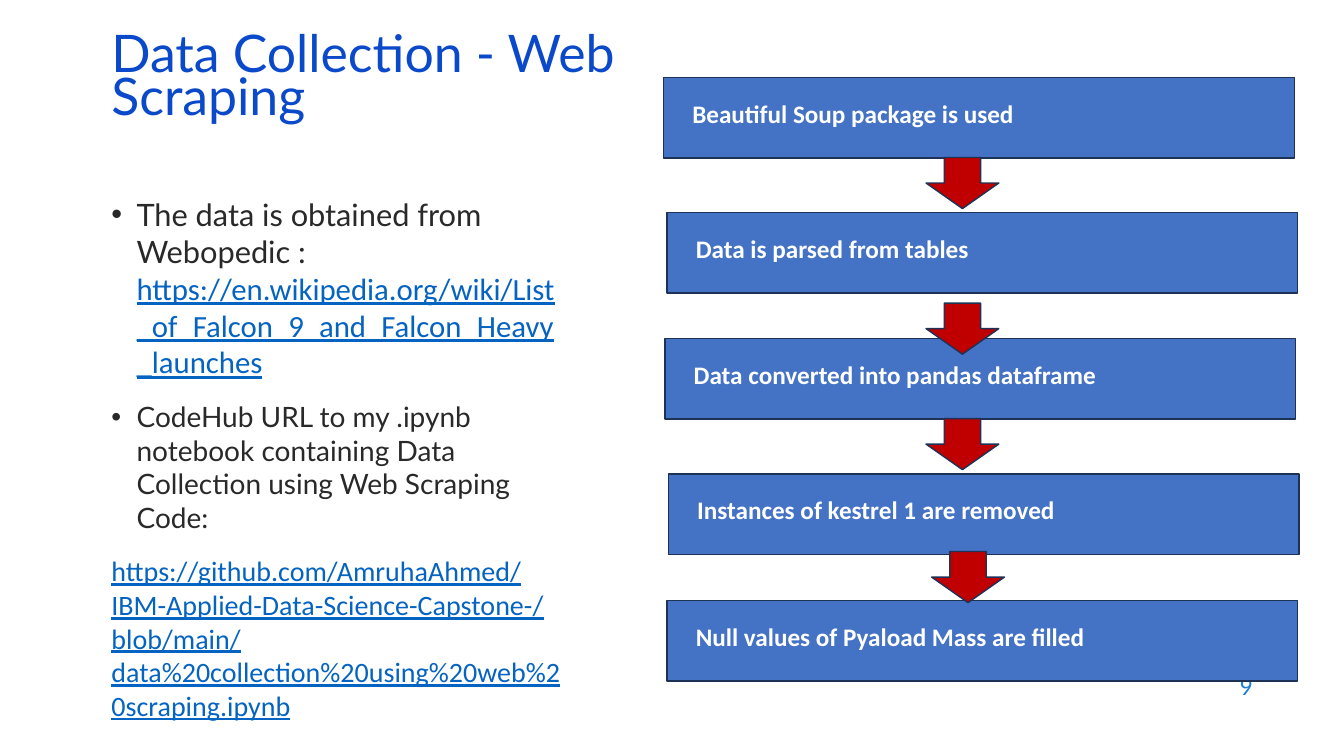
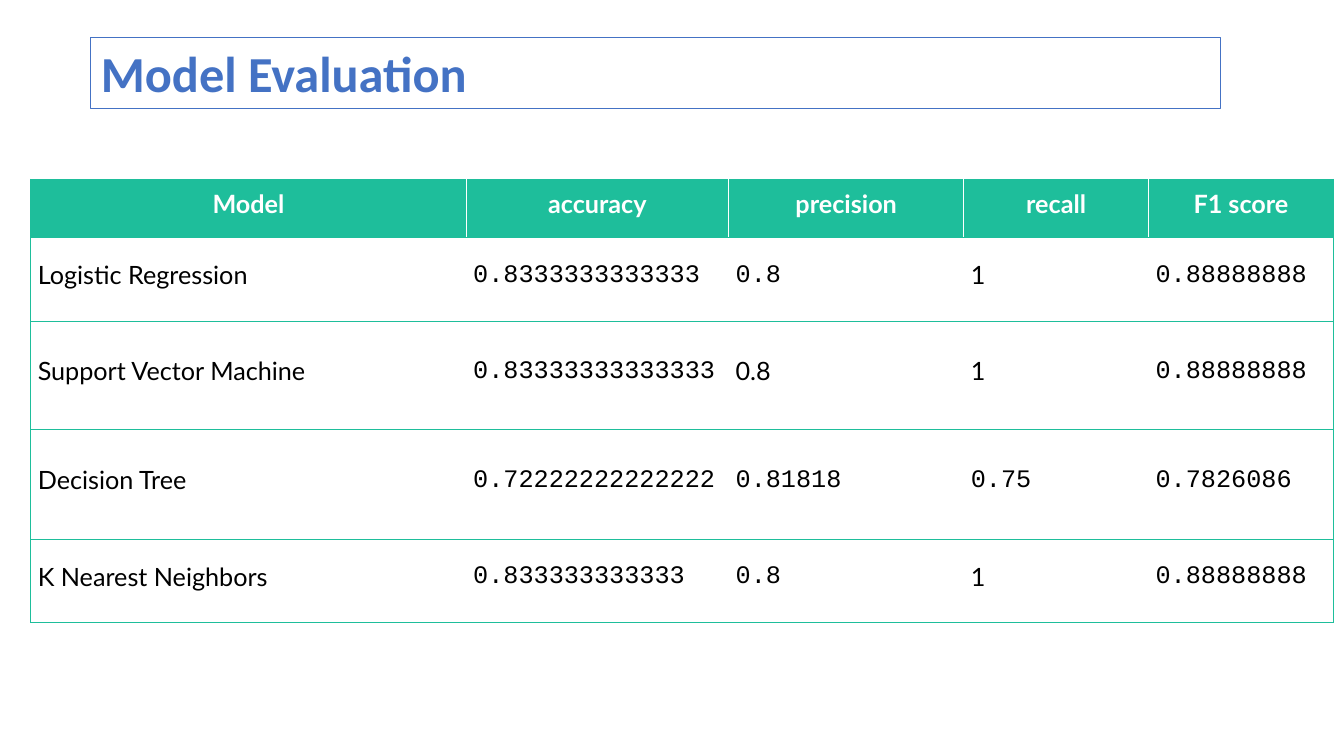
from dataclasses import dataclass

from lxml import etree
from pptx import Presentation
from pptx.dml.color import RGBColor
from pptx.enum.shapes import MSO_SHAPE
from pptx.enum.text import MSO_ANCHOR, PP_ALIGN
from pptx.oxml.ns import qn
from pptx.util import Pt

RECT, ARROW = MSO_SHAPE.RECTANGLE, MSO_SHAPE.DOWN_ARROW
TOP, MIDDLE = MSO_ANCHOR.TOP, MSO_ANCHOR.MIDDLE
LEFT, CENTER, RIGHT = PP_ALIGN.LEFT, PP_ALIGN.CENTER, PP_ALIGN.RIGHT


@dataclass(frozen=True)
class Theme:
    # Fonts
    sans: str = "Lato"
    plain: str = "Calibri"
    mono: str = "Courier New"
    # Colours
    white: str = "FFFFFF"
    black: str = "000000"
    ink: str = "292929"
    title: str = "0B49CB"
    link: str = "0563C1"
    number: str = "1C7DDB"
    bar: str = "4472C4"
    edge: str = "1E3256"
    arrow: str = "C00000"
    teal: str = "1EBE9B"
    # Type sizes
    huge: int = 37
    head: int = 36
    large: int = 22
    body: int = 20
    label: int = 18
    small: int = 16


T = Theme()

STEPS = [
    (474, 55.5, "Beautiful Soup package is used"),
    (476.5, 152, "Data is parsed from tables"),
    (475, 242, "Data converted into pandas dataframe"),
    (477.5, 338.5, "Instances of kestrel 1 are removed"),
    (476.5, 429, "Null values of Pyaload Mass are filled"),
]
ARROWS = [(661.5, 112.5), (661.5, 216.5), (661.5, 299), (665.5, 394)]

WIKI = ["https://en.wikipedia.org/wiki/List", "_of_Falcon_9_and_Falcon_Heavy",
        "_launches"]
REPO = ("https://github.com/AmruhaAhmed/IBM-Applied-Data-Science-Capstone-/"
        "blob/main/data%20collection%20using%20web%20scraping.ipynb")

COLS = [311, 187.5, 168, 132, 132]
ROWS = [41.5, 60, 77.5, 78, 60]
SCORES = [
    ["Model", "accuracy", "precision", "recall", "F1 score"],
    ["Logistic Regression", "0.8333333333333", "0.8", "1", "0.88888888"],
    ["Support Vector Machine", "0.83333333333333", "0.8", "1", "0.88888888"],
    ["Decision Tree", "0.72222222222222", "0.81818", "0.75", "0.7826086"],
    ["K Nearest Neighbors", "0.833333333333", "0.8", "1", "0.88888888"],
]


def put(obj, **vals):
    for name, val in vals.items():
        setattr(obj, name, val)


def rgb(code):
    return RGBColor.from_string(code)


def write(para, text, face, size, color, **style):
    run = para.add_run()
    run.text = text
    put(run.font, name=face, size=Pt(size), **style)
    run.font.color.rgb = rgb(color)


def text_box(slide, x, y, w, h, anchor=TOP):
    frame = slide.shapes.add_textbox(Pt(x), Pt(y), Pt(w), Pt(h)).text_frame
    put(frame, word_wrap=True, vertical_anchor=anchor)
    return frame


def shape(slide, kind, x, y, w, h, fill, line, width):
    item = slide.shapes.add_shape(kind, Pt(x), Pt(y), Pt(w), Pt(h))
    item.shadow.inherit = False
    if fill:
        item.fill.solid()
        item.fill.fore_color.rgb = rgb(fill)
    else:
        item.fill.background()
    item.line.color.rgb = rgb(line)
    item.line.width = Pt(width)
    put(item.text_frame, word_wrap=True, vertical_anchor=TOP)
    item.text_frame.paragraphs[0].alignment = LEFT
    return item.text_frame


def bullet(para):
    props = para._p.get_or_add_pPr()
    props.set("marL", str(Pt(18)))
    props.set("indent", str(-Pt(18)))
    etree.SubElement(props, qn("a:buFont")).set("typeface", "Arial")
    etree.SubElement(props, qn("a:buChar")).set("char", "•")


def border(cell, sides):
    props = cell._tc.get_or_add_tcPr()
    # Lines go before the fill
    for spot, (side, (color, width)) in enumerate(sides.items()):
        line = etree.Element(qn("a:ln" + side), w=str(Pt(width)))
        fill = etree.SubElement(line, qn("a:solidFill"))
        etree.SubElement(fill, qn("a:srgbClr")).set("val", color)
        props.insert(spot, line)


def notes(slide):
    frame = text_box(slide, 72.5, 136, 340.5, 350.5)
    first = frame.paragraphs[0]
    bullet(first)
    write(first, "The data is obtained from Webopedic : ", T.sans, T.large, T.ink)
    for part in WIKI:
        first.add_line_break()
        write(first, part, T.plain, T.large, T.link, underline=True)
    code = frame.add_paragraph()
    bullet(code)
    write(code, "CodeHub URL to my .ipynb notebook containing Data Collection "
          "using Web Scraping Code:", T.sans, T.body, T.ink)
    repo = frame.add_paragraph()
    write(repo, REPO, T.plain, T.body, T.link, underline=True)
    for para in (code, repo):
        para.space_before = Pt(14)


def flow(slide):
    for x, y, text in STEPS:
        frame = shape(slide, RECT, x, y, 450.5, 57.5, T.bar, T.edge, 1)
        put(frame, margin_left=Pt(20.5), margin_top=Pt(14.5))
        write(frame.paragraphs[0], text, T.plain, T.label, T.white, bold=True)
    for x, y in ARROWS:
        shape(slide, ARROW, x, y, 52, 36.5, T.arrow, T.edge, 1)


def fill_cell(cell, row, col):
    text, top = SCORES[row][col], row == 0
    put(cell, vertical_anchor=MIDDLE, margin_left=Pt(5), margin_right=Pt(5),
        margin_top=Pt(2.2), margin_bottom=Pt(2.2))
    if top:
        cell.fill.solid()
        cell.fill.fore_color.rgb = rgb(T.teal)
    else:
        cell.fill.background()
    para = cell.text_frame.paragraphs[0]
    put(para, alignment=CENTER if top else LEFT, line_spacing=Pt(15))
    sans = top or col == 0 or text == "1" or (row, col) == (2, 2)
    write(para, text, T.sans if sans else T.mono, T.label,
          T.white if top else T.black, bold=top)
    # Teal frame and rules, white gaps between columns
    rule, gap = (T.teal, 0.75), (T.white, 1)
    border(cell, {"L": rule if col == 0 else gap,
                  "R": rule if col == len(COLS) - 1 else gap,
                  "T": rule, "B": rule})


def scores(slide):
    frame = slide.shapes.add_table(len(ROWS), len(COLS), Pt(22), Pt(128),
                                   Pt(sum(COLS)), Pt(sum(ROWS)))
    table = frame.table
    put(table, first_row=False, horz_banding=False)
    for col, width in enumerate(COLS):
        table.columns[col].width = Pt(width)
    for row, height in enumerate(ROWS):
        table.rows[row].height = Pt(height)
        for col in range(len(COLS)):
            fill_cell(table.cell(row, col), row, col)


def scrape(slide):
    notes(slide)
    # Title
    para = text_box(slide, 72.5, 18.5, 382.5, 78.5, MIDDLE).paragraphs[0]
    para.line_spacing = 0.7
    write(para, "Data Collection - Web Scraping", T.sans, T.huge, T.title)
    # Page number
    para = text_box(slide, 686, 474.5, 216, 31.5, MIDDLE).paragraphs[0]
    para.alignment = RIGHT
    write(para, "9", T.sans, T.small, T.number)
    flow(slide)


def rate(slide):
    scores(slide)
    # Title
    frame = shape(slide, RECT, 65, 26.5, 806.5, 51, None, T.bar, 0.75)
    write(frame.paragraphs[0], "Model Evaluation", T.plain, T.head, T.bar,
          bold=True)


def main():
    deck = Presentation()
    put(deck, slide_width=Pt(960), slide_height=Pt(540))
    for build in (scrape, rate):
        build(deck.slides.add_slide(deck.slide_layouts[6]))
    deck.save("out.pptx")


if __name__ == "__main__":
    main()
